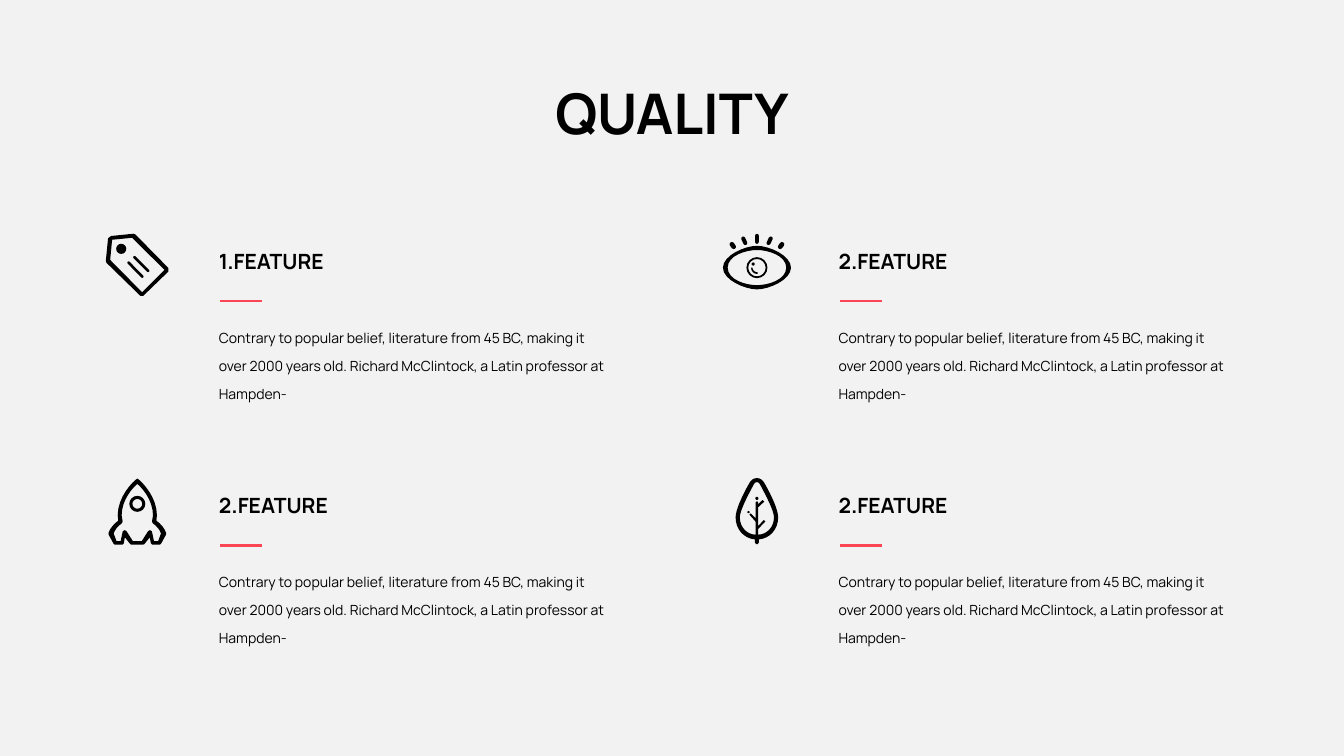
from math import atan2, cos, pi, sin

from lxml.etree import SubElement
from pptx import Presentation
from pptx.dml.color import RGBColor
from pptx.enum.shapes import MSO_CONNECTOR as CONNECTOR, MSO_SHAPE as SHAPE
from pptx.enum.text import MSO_AUTO_SIZE as AUTO_SIZE, PP_ALIGN as ALIGN
from pptx.oxml.ns import qn
from pptx.util import Pt

BLACK = RGBColor(0x00, 0x00, 0x00)
RED = RGBColor(0xFA, 0x46, 0x55)
GRAY = RGBColor(0xF2, 0xF2, 0xF2)
FONT = "Manrope"

COLUMN_PITCH, ROW_PITCH = 442.6, 174.5
ICON_CENTER, TEXT_LEFT, ROW_TOP = 98.1, 149.3, 167
BODY = ("Contrary to popular belief, literature from 45 BC, making it over 2000 years old. "
        "Richard McClintock, a Latin professor at Hampden-")


def add_text(slide, text, left, top, width, height, size, bold=False,
             align=ALIGN.LEFT, spacing=None):
    frame = slide.shapes.add_textbox(Pt(left), Pt(top), Pt(width), Pt(height)).text_frame
    frame.word_wrap = True
    frame.auto_size = AUTO_SIZE.SHAPE_TO_FIT_TEXT
    paragraph = frame.paragraphs[0]
    paragraph.alignment = align
    if spacing:
        paragraph.line_spacing = Pt(spacing)
    run = paragraph.add_run()
    run.text = text
    run.font.name = FONT
    run.font.size = Pt(size)
    run.font.bold = bold
    run.font.color.rgb = BLACK


def add_rule(slide, left, top, length):
    connector = slide.shapes.add_connector(
        CONNECTOR.STRAIGHT, Pt(left), Pt(top), Pt(left + length), Pt(top))
    connector.line.color.rgb = RED
    connector.line.width = Pt(2)
    SubElement(connector._element.spPr, qn("a:effectLst"))


def fill_plain(shape, color):
    shape.shadow.inherit = False
    shape.fill.solid()
    shape.fill.fore_color.rgb = color
    shape.line.fill.background()


def add_icon(slide, contours, center, top):
    """Fill the contours as one shape; a contour inside another cuts a hole."""
    builder = None
    for contour in contours:
        first, *rest = [(Pt(center + x), Pt(top + y)) for x, y in contour]
        if builder is None:
            builder = slide.shapes.build_freeform(*first)
        else:
            builder.move_to(*first)
        builder.add_line_segments(rest, close=True)
    fill_plain(builder.convert_to_shape(), BLACK)


def curve(start, control_1, control_2, end, steps=8):
    """Sample a cubic Bezier curve as a list of points."""
    points = []
    for step in range(steps + 1):
        t = step / steps
        weights = ((1 - t) ** 3, 3 * t * (1 - t) ** 2, 3 * t * t * (1 - t), t ** 3)
        points.append(tuple(
            sum(weight * point[axis] for weight, point in
                zip(weights, (start, control_1, control_2, end)))
            for axis in (0, 1)))
    return points


def arc(center, radius, start=0, sweep=2 * pi, steps=16):
    angles = [start + sweep * step / steps for step in range(steps + 1)]
    return [(center[0] + radius * cos(angle), center[1] + radius * sin(angle))
            for angle in angles]


def capsule(start, end, width):
    """Outline a straight stroke with round ends."""
    angle = atan2(end[1] - start[1], end[0] - start[0])
    return (arc(end, width / 2, angle - pi / 2, pi, 4)
            + arc(start, width / 2, angle + pi / 2, pi, 4))


def mirrored(points):
    return [(-x, y) for x, y in reversed(points)]


def with_mirror(left_half):
    """Complete an outline that is symmetric about x = 0."""
    return left_half + mirrored(left_half)


def tag():
    outer = [(-18.7, 1.6), (-2.9, 0), (-1.4, 0.5), (22.2, 24.5), (22.2, 27),
             (4.2, 44.4), (2.2, 44.4), (-22, 20.8), (-22.5, 19.4), (-20.9, 3.2)]
    inner = [(-19.4, 18.7), (-18, 4.3), (-3.6, 2.9), (19.4, 25.9), (3.4, 41.8)]
    return [outer, inner, arc((-11.5, 10.8), 3.6),
            capsule((-6.2, 20.7), (3.5, 30.6), 1.9),
            capsule((-2, 16.8), (7.7, 26.5), 1.9)]


def eye():
    def almond(half_width, top, bottom, bulge):
        middle = (-half_width, 24.2)
        return with_mirror(
            curve((0, top), (-bulge, top), (-half_width, 15.5), middle)
            + curve(middle, (-half_width, 32.9), (-bulge, bottom), (0, bottom)))

    glint = (curve((-4.2, 24.2), (-4.2, 26.8), (-2.2, 28.8), (0.4, 28.7), 4)
             + curve((0.4, 27.5), (-1.5, 27.5), (-3.2, 26), (-3.2, 24.2), 4))
    lashes = [capsule((-9.8, 3.4), (-8.3, 6.6), 2.9), capsule((-17.9, 7.5), (-16.6, 9.3), 3.3)]
    return [almond(24.3, 8.6, 39.7, 8.6), almond(20.9, 11.6, 36.7, 7.9),
            arc((0, 24.2), 7.5), arc((0, 24.2), 6.2), arc((-2.7, 21.6), 1.1), glint,
            capsule((0, 1.3), (0, 5.9), 2.6), *lashes, *map(mirrored, lashes)]


def rocket():
    outer = (curve((0, 0.3), (-3.5, 2.6), (-14, 13.5), (-14, 26.6))
             + curve((-13.6, 30.4), (-17, 32.8), (-19.5, 36), (-20.6, 39.2), 4)
             + [(-20.5, 40.4), (-17, 46.8), (-16.2, 47.5), (-10.6, 47.5),
                (-9.7, 46.6), (-8.9, 42.3), (-5, 47.2), (-4.2, 47.5)])
    inner = (curve((0, 4.2), (-3, 6.5), (-11.2, 15.5), (-11.2, 26.6))
             + [(-10.5, 31), (-11.1, 32.3)]
             + curve((-11.1, 32.3), (-14, 34.4), (-16, 36.8), (-16.9, 39.6), 4)
             + [(-14.9, 45), (-11.9, 45), (-10.4, 38), (-9, 37.2), (-7.7, 37.9), (-3.2, 45)])
    return [with_mirror(outer), with_mirror(inner), arc((0, 18.4), 5.7), arc((0, 18.4), 3.5)]


def leaf():
    outer = (curve((0, 0), (-2.5, 0), (-4.4, 1.5), (-5.8, 4.3), 4)
             + curve((-5.8, 4.3), (-11, 13.5), (-15.2, 23), (-15.2, 28.1))
             + curve((-15.2, 28.1), (-15.2, 36.5), (-9.3, 43.2), (-1.4, 43.8))
             + [(-1.4, 46), (-0.6, 47.2)])
    inner = (curve((0, 2.9), (-1.4, 2.9), (-2.2, 4.3), (-2.9, 5.8), 4)
             + curve((-2.9, 5.8), (-7, 13.5), (-12.2, 23.5), (-12.2, 28.1))
             + curve((-12.2, 28.1), (-12.2, 35.3), (-6.8, 40.4), (-0.9, 40.4)))
    stem = [(-0.9, 31.2), (-5.3, 26.2), (-4.4, 25.2), (-0.9, 28.8), (-0.9, 17.3),
            (0, 16.5), (0.9, 17.3), (0.9, 18.6), (4, 15.7), (5.3, 16.8), (0.9, 20.9),
            (0.9, 34.3), (5, 29.9), (6, 31), (0.9, 36.4)]
    return [with_mirror(outer), inner + stem + mirrored(inner),
            arc((0, 14.5), 1.1), arc((-6, 24.3), 0.8)]


def add_feature(slide, row, column, heading, contours):
    left = TEXT_LEFT + column * COLUMN_PITCH
    top = ROW_TOP + row * ROW_PITCH
    add_text(slide, heading, left, top, 145.5, 30, 15, bold=True, spacing=25)
    add_rule(slide, left + 8.1, top + 48, 29.8)
    add_text(slide, BODY, left, top + 56.9, 292.5, 67.5, 10, spacing=20)
    add_icon(slide, contours, ICON_CENTER + column * COLUMN_PITCH, top)


def main():
    presentation = Presentation()
    presentation.slide_width, presentation.slide_height = Pt(960), Pt(540)
    slide = presentation.slides.add_slide(presentation.slide_layouts[6])
    fill_plain(slide.shapes.add_shape(SHAPE.RECTANGLE, 0, 0, Pt(960), Pt(540)), GRAY)
    add_text(slide, "QUALITY", 186, 52.6, 588, 55.7, 40, bold=True, align=ALIGN.CENTER)
    features = (("1.FEATURE", tag()), ("2.FEATURE", eye()),
                ("2.FEATURE", rocket()), ("2.FEATURE", leaf()))
    for index, (heading, contours) in enumerate(features):
        add_feature(slide, *divmod(index, 2), heading, contours)
    presentation.save("out.pptx")


if __name__ == "__main__":
    main()
